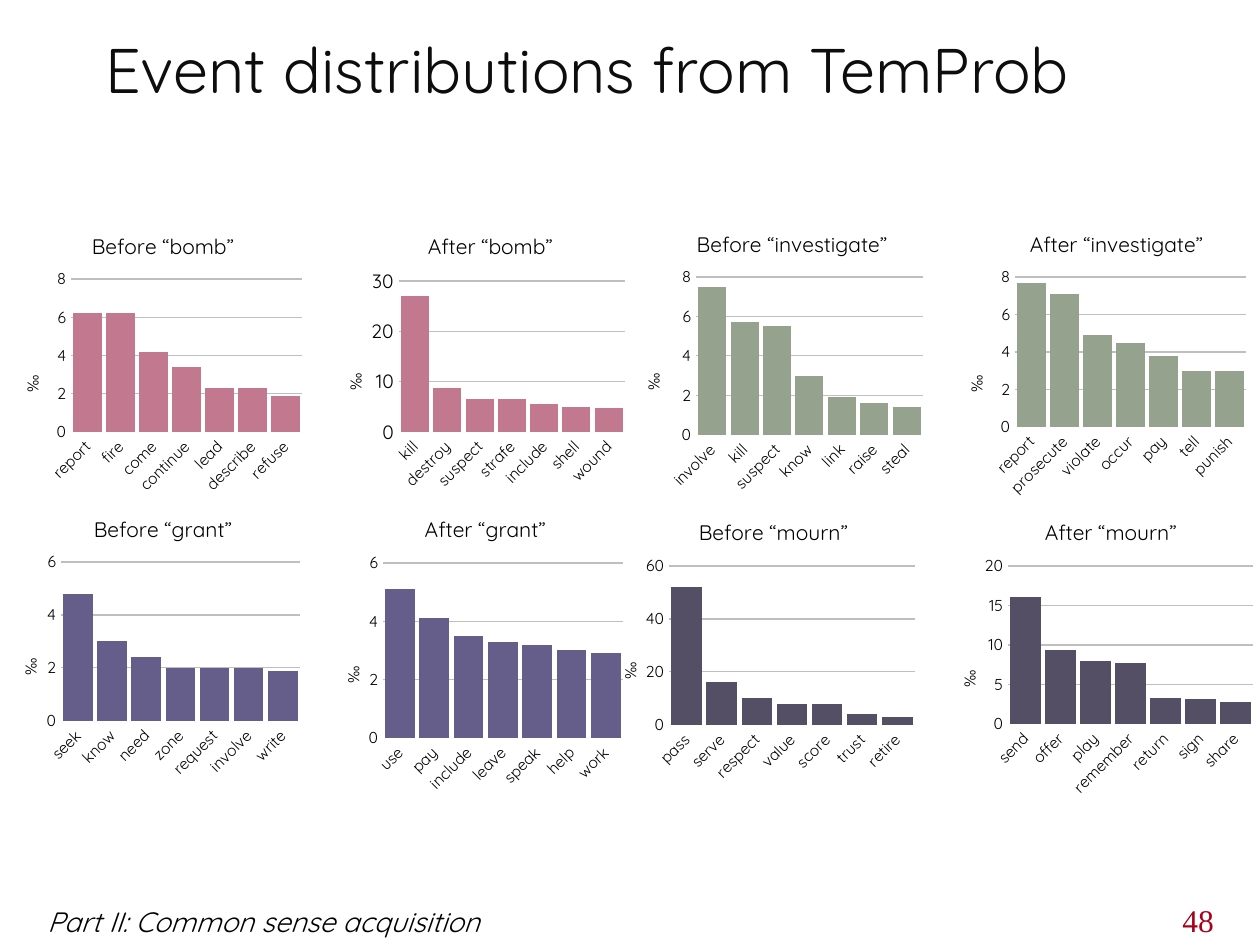
"""Build a slide of eight column charts of events before and after a given event."""
from dataclasses import dataclass

import pptx
import pptx.chart.data
import pptx.enum.chart
import pptx.enum.text
import pptx.oxml
import pptx.oxml.ns
import pptx.util
from pptx.dml.color import RGBColor

PX = 914400 / 126
FONT = "Quicksand"
COLORS = {"bomb": "C27990", "investigate": "95A28E", "grant": "665E8A", "mourn": "544F65",
          "text": "000000", "title": "0D0D0D", "number": "A7001B",
          "grid": "BFBFBF", "axis": "FFFFFF"}
qn = pptx.oxml.ns.qn


@dataclass
class EventChart:
    when: str
    event: str
    box: tuple[int, int, int, int]
    plot: tuple[int, int, int, int]
    title_at: tuple[int, int]
    unit_at: tuple[int, int]
    top: int
    step: int
    cats: str
    vals: tuple[float, ...]
    scale_size: int = 9


CHARTS = [
    EventChart("After", "bomb", (314, 212, 318, 289), (399, 281, 226, 151), (424, 227), (341, 370),
               30, 10, "kill destroy suspect strafe include shell wound",
               (27.1, 8.8, 6.5, 6.5, 5.6, 5, 4.7), 11),
    EventChart("Before", "bomb", (-9, 212, 318, 289), (71, 279, 231, 153), (88, 227), (18, 372),
               8, 2, "report fire come continue lead describe refuse",
               (6.2, 6.2, 4.2, 3.4, 2.3, 2.3, 1.9)),
    EventChart("After", "investigate", (935, 210, 318, 292), (1015, 277, 231, 150), (1026, 225),
               (962, 372), 8, 2, "report prosecute violate occur pay tell punish",
               (7.7, 7.1, 4.9, 4.5, 3.8, 3, 3)),
    EventChart("Before", "investigate", (611, 210, 318, 289), (696, 277, 227, 158), (693, 225),
               (639, 370), 8, 2, "involve kill suspect know link raise steal",
               (7.5, 5.7, 5.5, 3, 1.9, 1.6, 1.4)),
    EventChart("After", "grant", (311, 495, 318, 305), (383, 563, 240, 175), (421, 510), (339, 663),
               6, 2, "use pay include leave speak help work",
               (5.1, 4.1, 3.5, 3.3, 3.2, 3, 2.9)),
    EventChart("Before", "grant", (-11, 495, 318, 289), (61, 562, 239, 159), (90, 510), (16, 655),
               6, 2, "seek know need zone request involve write",
               (4.8, 3, 2.4, 2, 2, 2, 1.9)),
    EventChart("After", "mourn", (926, 499, 334, 305), (1008, 566, 245, 158), (1041, 513), (955, 667),
               20, 5, "send offer play remember return sign share",
               (16.1, 9.4, 7.9, 7.7, 3.3, 3.1, 2.7)),
    EventChart("Before", "mourn", (588, 499, 334, 289), (669, 566, 246, 159), (695, 513), (616, 659),
               60, 20, "pass serve respect value score trust retire",
               (52, 16, 10, 8, 8, 4, 3)),
]


def px(*lengths: int) -> list[int]:
    return [round(n * PX) for n in lengths]


def rgb(name: str) -> RGBColor:
    return RGBColor.from_string(COLORS[name])


def style(font, size: float, color: str = "text", name: str = FONT) -> None:
    font.size = pptx.util.Pt(size)
    font.name = name
    font.bold = False
    font.color.rgb = rgb(color)


def place(el, spec: EventChart, at: tuple[int, ...], inner: bool = False) -> None:
    left, top, width, height = spec.box
    fractions = [(at[0] - left) / width, (at[1] - top) / height]
    fractions += [at[2] / width, at[3] / height] if inner else []
    target = '<c:layoutTarget val="inner"/>' if inner else ""
    modes = '<c:xMode val="edge"/><c:yMode val="edge"/>'
    values = "".join(f'<c:{k} val="{v:.4f}"/>' for k, v in zip("xywh", fractions))
    layout = pptx.oxml.parse_xml(
        f'<c:layout {pptx.oxml.ns.nsdecls("c")}><c:manualLayout>{target}{modes}{values}'
        '</c:manualLayout></c:layout>')
    old = el.find(qn("c:layout"))
    if old is not None:
        el.remove(old)
    el.insert(0 if inner else 1, layout)


def set_title(title, spec: EventChart, text: str, size: int, at: tuple[int, int]) -> None:
    tf = title.text_frame
    tf.text = text
    style(tf.paragraphs[0].font, size)
    place(title._element, spec, at)


def add_event_chart(s, spec: EventChart) -> None:
    data = pptx.chart.data.CategoryChartData()
    data.categories = spec.cats.split()
    data.add_series("Series 1", spec.vals)
    chart = s.shapes.add_chart(pptx.enum.chart.XL_CHART_TYPE.COLUMN_CLUSTERED,
                               *px(*spec.box), data).chart
    style(chart.font, 14)
    chart.has_legend = False
    chart._chartSpace.find(qn("c:chart")).addnext(pptx.oxml.parse_xml(
        f'<c:spPr {pptx.oxml.ns.nsdecls("c", "a")}><a:noFill/><a:ln><a:noFill/></a:ln></c:spPr>'))
    chart.has_title = True
    set_title(chart.chart_title, spec, f"{spec.when} “{spec.event}”", 12, spec.title_at)
    place(chart._chartSpace.find(".//" + qn("c:plotArea")), spec, spec.plot, inner=True)

    plot = chart.plots[0]
    plot.gap_width, plot.overlap, plot.vary_by_categories = 15, -19, False
    fill = plot.series[0].format.fill
    fill.solid()
    fill.fore_color.rgb = rgb(spec.event)

    cat, val = chart.category_axis, chart.value_axis
    for axis, size in ((cat, 9), (val, spec.scale_size)):
        axis.major_tick_mark = axis.minor_tick_mark = pptx.enum.chart.XL_TICK_MARK.NONE
        style(axis.tick_labels.font, size)
    cat._element.find(qn("c:txPr")).find(qn("a:bodyPr")).set("rot", "-2700000")
    val.minimum_scale, val.maximum_scale, val.major_unit = 0, spec.top, spec.step
    val.format.line.fill.background()
    for line, color in ((cat.format.line, "axis"), (val.major_gridlines.format.line, "grid")):
        line.color.rgb = rgb(color)
        line.width = pptx.util.Pt(0.75)
    set_title(val.axis_title, spec, "‰", 9, spec.unit_at)
    val.axis_title.text_frame._txBody.find(qn("a:bodyPr")).set("rot", "-5400000")


def add_text(s, box: tuple[int, int, int, int], text: str, wrap: bool):
    tf = s.shapes.add_textbox(*px(*box)).text_frame
    tf.word_wrap = wrap
    p = tf.paragraphs[0]
    p.text = text
    return p


def main() -> None:
    prs = pptx.Presentation()
    prs.slide_width, prs.slide_height = px(1260, 945)
    s = prs.slides.add_slide(prs.slide_layouts[5])

    title = s.shapes.title
    title.left, title.top, title.width, title.height = px(93, 32, 1071, 73)
    tf = title.text_frame
    tf.text = "Event distributions from TemProb"
    tf.vertical_anchor = pptx.enum.text.MSO_ANCHOR.MIDDLE
    tf.auto_size = pptx.enum.text.MSO_AUTO_SIZE.NONE
    tf.paragraphs[0].alignment = pptx.enum.text.PP_ALIGN.LEFT
    style(tf.paragraphs[0].font, 36, "title")

    for spec in CHARTS:
        add_event_chart(s, spec)

    number = add_text(s, (1170, 895, 62, 50), "48", False)
    style(number.font, 18, "number", "Times New Roman")
    footer = add_text(s, (-28, 898, 752, 47), "Part II: Common sense acquisition", True)
    footer.level = 1
    footer._p.get_or_add_pPr().set("marL", "457200")
    style(footer.font, 16)
    footer.font.italic = True
    prs.save("out.pptx")


if __name__ == "__main__":
    main()
